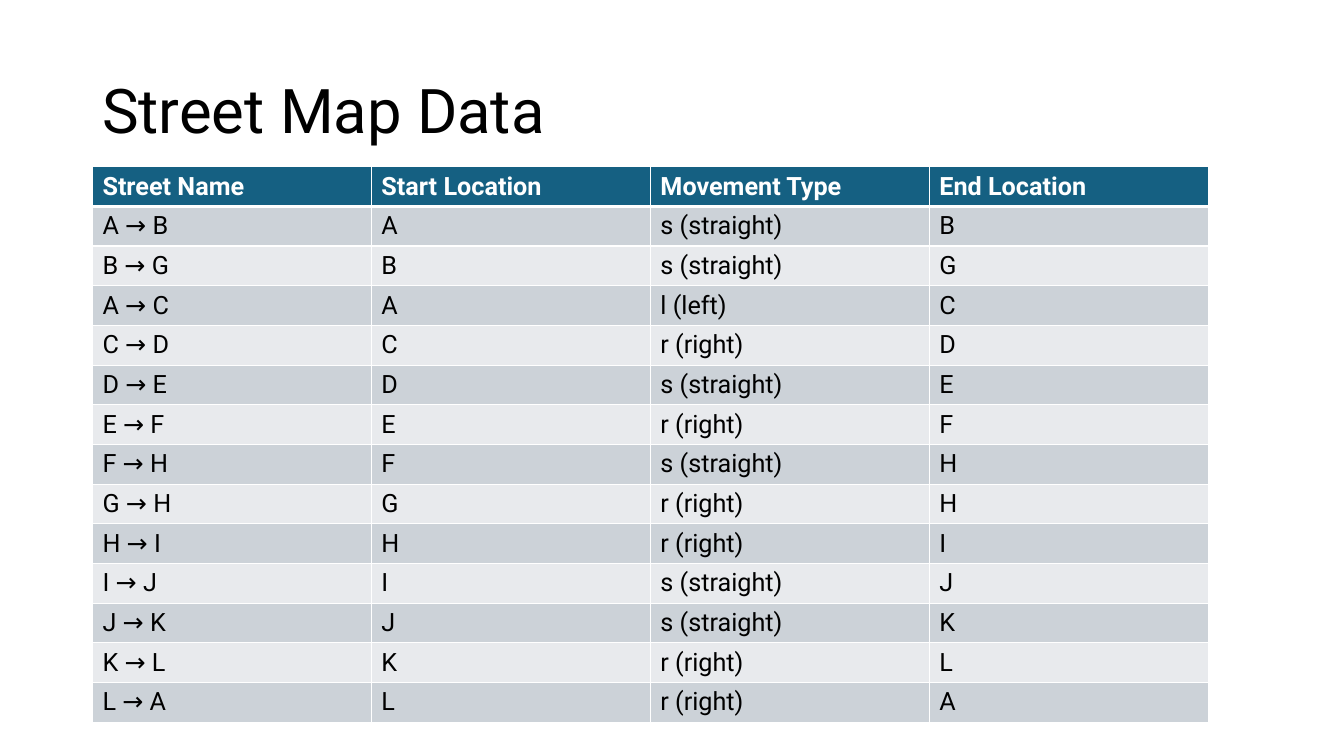
from dataclasses import dataclass

from lxml.etree import SubElement
from pptx import Presentation
from pptx.dml.color import RGBColor
from pptx.enum.text import MSO_ANCHOR
from pptx.oxml.ns import qn
from pptx.util import Cm, Pt


@dataclass(frozen=True)
class Theme:
    font: str = "Roboto"
    text: str = "000000"
    white: str = "FFFFFF"
    header: str = "156082"
    bands: tuple = ("CCD2D8", "E8EAED")
    title_size: int = 44
    table_size: int = 18
    thin: int = 1
    thick: int = 3


MOVES = {"s": "s (straight)", "l": "l (left)", "r": "r (right)"}
HEADINGS = ["Street Name", "Start Location", "Movement Type", "End Location"]
STREETS = "AsB BsG AlC CrD DsE ErF FsH GrH HrI IsJ JsK KrL LrA".split()


def write(tf, text, *, font, size, color, bold=False, spacing=None):
    p = tf.paragraphs[0]
    if spacing:
        p.line_spacing = spacing
    r = p.add_run()
    r.text = text
    r.font.name = font
    r.font.size = Pt(size)
    r.font.bold = bold
    r.font.color.rgb = RGBColor.from_string(color)


class SlideBuilder:
    def __init__(self, slide, theme):
        self.s = slide
        self.theme = theme

    def title(self, text, left, top, width, height):
        tf = self.s.shapes.add_textbox(left, top, width, height).text_frame
        tf.word_wrap = True
        tf.vertical_anchor = MSO_ANCHOR.MIDDLE
        write(tf, text, font=self.theme.font, size=self.theme.title_size,
              color=self.theme.text, spacing=0.9)

    def borders(self, cell, top, bottom):
        tc_pr = cell._tc.get_or_add_tcPr()
        thin = self.theme.thin
        for side, width in (("L", thin), ("R", thin), ("T", top), ("B", bottom)):
            ln = SubElement(tc_pr, qn(f"a:ln{side}"), w=str(Pt(width)))
            fill = SubElement(ln, qn("a:solidFill"))
            SubElement(fill, qn("a:srgbClr"), val=self.theme.white)

    def table(self, rows, left, top, width, height, row_height):
        t = self.theme
        frame = self.s.shapes.add_table(len(rows), len(rows[0]), left, top, width, height)
        for i, values in enumerate(rows):
            frame.table.rows[i].height = row_height
            header = i == 0
            fill = t.header if header else t.bands[(i - 1) % 2]
            for j, value in enumerate(values):
                cell = frame.table.cell(i, j)
                self.borders(cell, t.thick if i == 1 else t.thin,
                             t.thick if header else t.thin)
                cell.fill.solid()
                cell.fill.fore_color.rgb = RGBColor.from_string(fill)
                write(cell.text_frame, value, font=t.font, size=t.table_size,
                      color=t.white if header else t.text, bold=header)
        frame.height = height


def main():
    prs = Presentation()
    prs.slide_width, prs.slide_height = Cm(33.87), Cm(19.05)
    s = prs.slides.add_slide(prs.slide_layouts[6])
    builder = SlideBuilder(s, Theme())
    streets = [[f"{start} → {end}", start, MOVES[move], end]
               for start, move, end in STREETS]
    builder.table([HEADINGS] + streets, Cm(2.33), Cm(4.2), Cm(28.12), Cm(14.22), Cm(0.89))
    builder.title("Street Map Data", Cm(2.33), Cm(1.01), Cm(29.21), Cm(3.68))
    prs.save("out.pptx")


if __name__ == "__main__":
    main()
